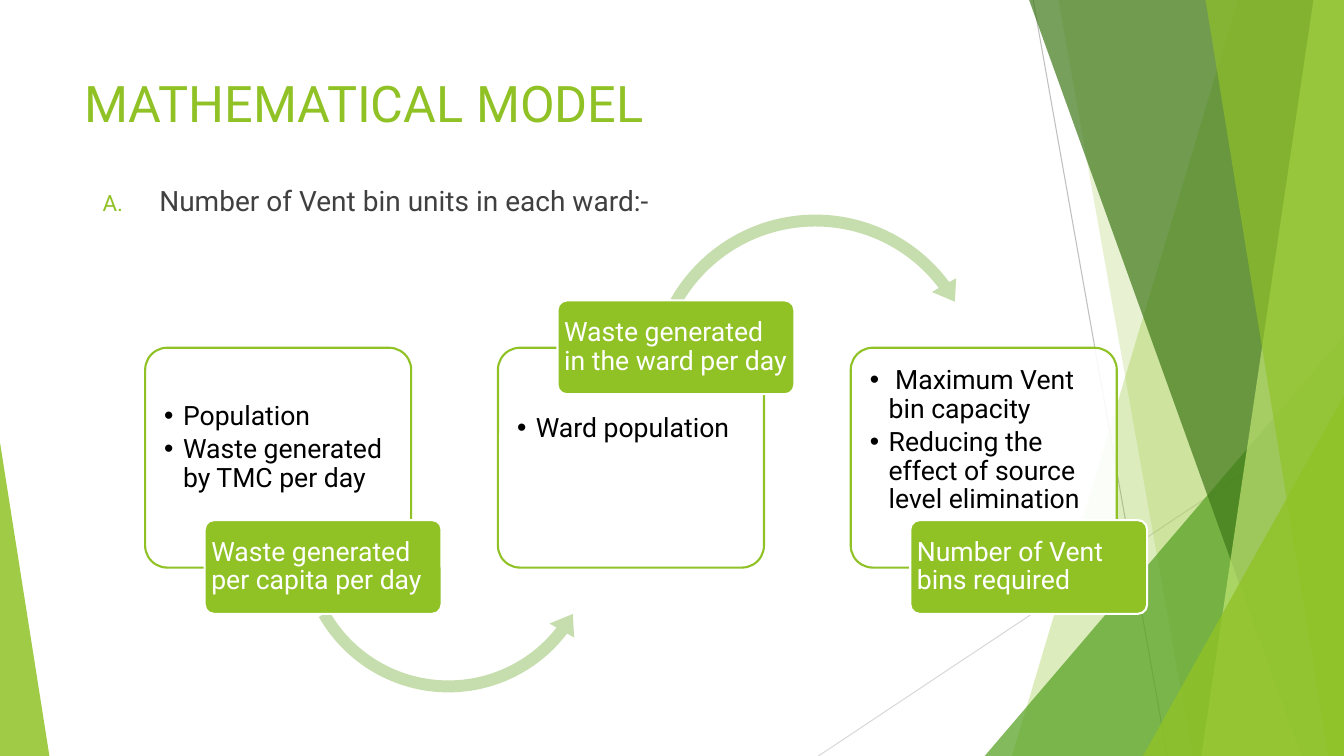
from dataclasses import dataclass
from typing import Optional

from lxml.etree import SubElement
from pptx import Presentation
from pptx.dml.color import RGBColor as RGB
from pptx.enum.shapes import MSO_CONNECTOR as Connector, MSO_SHAPE as Preset
from pptx.enum.text import MSO_ANCHOR as Anchor, PP_ALIGN as Align
from pptx.oxml.ns import qn
from pptx.util import Pt

SLIDE_W, SLIDE_H = 960, 540


@dataclass(frozen=True)
class Theme:
    font: str = "Roboto"
    accent: str = "90C226"
    leaf: str = "54A021"
    forest: str = "3F7819"
    lime: str = "C0E474"
    arrow: str = "C6DDAD"
    white: str = "FFFFFF"
    black: str = "000000"
    body: str = "404040"
    title_size: float = 36
    body_size: float = 20
    step_size: float = 19


THEME = Theme()


@dataclass(frozen=True)
class Ray:
    start: tuple[float, float]
    end: tuple[float, float]
    color: str


@dataclass(frozen=True)
class Shard:
    """A band from the top edge to the bottom edge, closed at the right side."""
    top_x: float
    bottom_x: float
    color: str
    opacity: int


@dataclass(frozen=True)
class Wedge:
    box: tuple[float, float, float, float]
    apex: float
    color: str
    opacity: int


@dataclass(frozen=True)
class Marker:
    tag: str
    attributes: dict[str, str]
    indent: float
    color: Optional[str] = None
    percent: int = 100


@dataclass(frozen=True)
class Arc:
    preset: Preset
    left: float
    top: float
    size: float
    adjustments: tuple[float, ...]


@dataclass(frozen=True)
class Step:
    inputs: tuple[str, ...]
    inputs_inset: float
    result: str
    result_top: float
    arc: Optional[Arc] = None


LETTER = Marker("a:buAutoNum", {"type": "alphaUcPeriod"}, 40.5, THEME.accent, 80)
DOT = Marker("a:buChar", {"char": "•"}, 13.5)

RAYS = (Ray((738, 0), (833.8, 540), "BFBFBF"),
        Ray((960, 290.2), (584.6, 540), "D9D9D9"))
BACKDROP = (
    Shard(884.2, 722.9, THEME.accent, 30),
    Shard(756, 851.8, THEME.accent, 20),
    Wedge((703.4, 239.8, 256.6, 300.2), 1, THEME.leaf, 72),
    Shard(735.1, 929.5, THEME.forest, 70),
    Shard(938.2, 858.2, THEME.lime, 70),
    Shard(861.1, 949, THEME.accent, 65),
    Wedge((816.5, 283, 143.5, 257), 1, THEME.accent, 80),
    Wedge((0, 316.1, 35.3, 223.9), 0, THEME.accent, 85),
)

CARD_LEFT, CARD_TOP, CARD_W, CARD_H, CARD_PITCH = 103.7, 248.4, 190, 157, 252
RESULT_SHIFT, RESULT_W, RESULT_H = 42.5, 169.2, 67
RESULT_ABOVE, RESULT_BELOW = 214.6, 371.5
STEPS = (
    Step(("Population", "Waste generated by TMC per day"), 34.7,
         "Waste generated per capita per day", RESULT_BELOW,
         Arc(Preset.LEFT_CIRCULAR_ARROW, 208, 275.8, 224.6,
             (0.038, 4.77, 22.525, 90.245, 0.045))),
    Step(("Ward population",), 42.9,
         "Waste generated in the ward per day", RESULT_ABOVE,
         Arc(Preset.CIRCULAR_ARROW, 457.9, 147.6, 249.1,
             (0.034, 4.266, 193.978, 125.755, 0.04))),
    Step((" Maximum Vent bin capacity",
          "Reducing the effect of source level elimination"), 9,
         "Number of Vent bins required", RESULT_BELOW),
)


def paint(shape, fill: str, opacity: int = 100, line: Optional[str] = None) -> None:
    shape.shadow.inherit = False
    shape.fill.solid()
    shape.fill.fore_color.rgb = RGB.from_string(fill)
    if opacity < 100:
        color = shape.element.spPr.find(qn("a:solidFill"))[0]
        SubElement(color, qn("a:alpha")).set("val", str(opacity * 1000))
    if line:
        shape.line.color.rgb = RGB.from_string(line)
        shape.line.width = Pt(1.5)
    else:
        shape.line.fill.background()


def add_preset(slide, preset: Preset, box: tuple[float, ...],
               adjustments: tuple[float, ...]):
    shape = slide.shapes.add_shape(preset, *map(Pt, box))
    for index, value in enumerate(adjustments):
        shape.adjustments[index] = value
    return shape


def mark(paragraph, marker: Marker) -> None:
    props = paragraph._p.get_or_add_pPr()
    props.set("marL", str(Pt(marker.indent)))
    props.set("indent", str(-Pt(marker.indent)))
    if marker.color:
        SubElement(SubElement(props, qn("a:buClr")), qn("a:srgbClr")).set("val", marker.color)
    SubElement(props, qn("a:buSzPct")).set("val", str(marker.percent * 1000))
    SubElement(props, qn("a:buFont")).set("typeface", "Arial" if marker is DOT else THEME.font)
    SubElement(props, qn(marker.tag), marker.attributes)


def write(frame, lines: tuple[str, ...], *, size: float, color: str,
          marker: Optional[Marker] = None, anchor: Anchor = Anchor.TOP,
          insets: tuple[float, ...] = (7.2, 3.6, 7.2, 3.6),
          spacing: float = 1, after: float = 0) -> None:
    frame.word_wrap = True
    frame.vertical_anchor = anchor
    (frame.margin_left, frame.margin_top,
     frame.margin_right, frame.margin_bottom) = map(Pt, insets)
    for index, line in enumerate(lines):
        paragraph = frame.add_paragraph() if index else frame.paragraphs[0]
        paragraph.alignment = Align.LEFT
        paragraph.line_spacing = spacing
        paragraph.space_after = Pt(after)
        if marker:
            mark(paragraph, marker)
        run = paragraph.add_run()
        run.text = line
        run.font.name = THEME.font
        run.font.size = Pt(size)
        run.font.color.rgb = RGB.from_string(color)


def draw_ray(slide, ray: Ray) -> None:
    line = slide.shapes.add_connector(Connector.STRAIGHT, *map(Pt, ray.start + ray.end))
    line.line.color.rgb = RGB.from_string(ray.color)
    line.line.width = Pt(0.75)
    SubElement(line._element.spPr, qn("a:effectLst"))


def draw_facet(slide, facet: Shard | Wedge) -> None:
    if isinstance(facet, Wedge):
        shape = add_preset(slide, Preset.ISOSCELES_TRIANGLE, facet.box, (facet.apex,))
    else:
        outline = slide.shapes.build_freeform(Pt(facet.top_x), 0)
        corners = ((SLIDE_W, 0), (SLIDE_W, SLIDE_H), (facet.bottom_x, SLIDE_H))
        outline.add_line_segments([(Pt(x), Pt(y)) for x, y in corners], close=True)
        shape = outline.convert_to_shape()
    paint(shape, facet.color, facet.opacity)


def draw_step(slide, step: Step, left: float) -> None:
    card = add_preset(slide, Preset.ROUNDED_RECTANGLE,
                      (left, CARD_TOP, CARD_W, CARD_H), (0.1,))
    paint(card, THEME.white, 90, THEME.accent)
    write(card.text_frame, step.inputs, size=THEME.step_size, color=THEME.black,
          marker=DOT, insets=(9, step.inputs_inset, 9, 0), spacing=0.9, after=3)
    if step.arc:
        arc = step.arc
        arrow = add_preset(slide, arc.preset, (arc.left, arc.top, arc.size, arc.size),
                           arc.adjustments)
        paint(arrow, THEME.arrow)
    result = add_preset(slide, Preset.ROUNDED_RECTANGLE,
                        (left + RESULT_SHIFT, step.result_top, RESULT_W, RESULT_H), (0.1,))
    paint(result, THEME.accent, line=THEME.white)
    write(result.text_frame, (step.result,), size=THEME.step_size, color=THEME.white,
          anchor=Anchor.MIDDLE, insets=(2.8, 2, 2, 2), spacing=0.9)


def main() -> None:
    deck = Presentation()
    deck.slide_width, deck.slide_height = Pt(SLIDE_W), Pt(SLIDE_H)
    slide = deck.slides.add_slide(deck.slide_layouts[6])

    # Faceted backdrop
    for ray in RAYS:
        draw_ray(slide, ray)
    for facet in BACKDROP:
        draw_facet(slide, facet)

    # Heading and lettered question
    heading = slide.shapes.add_textbox(Pt(53.3), Pt(48.2), Pt(676.8), Pt(103.7))
    write(heading.text_frame, ("MATHEMATICAL MODEL",),
          size=THEME.title_size, color=THEME.accent)
    question = slide.shapes.add_textbox(Pt(66.2), Pt(127.4), Pt(514.8), Pt(38.9))
    write(question.text_frame, ("Number of Vent bin units in each ward:-",),
          size=THEME.body_size, color=THEME.body, marker=LETTER)

    # Calculation steps
    for index, step in enumerate(STEPS):
        draw_step(slide, step, CARD_LEFT + index * CARD_PITCH)

    deck.save("out.pptx")


if __name__ == "__main__":
    main()
